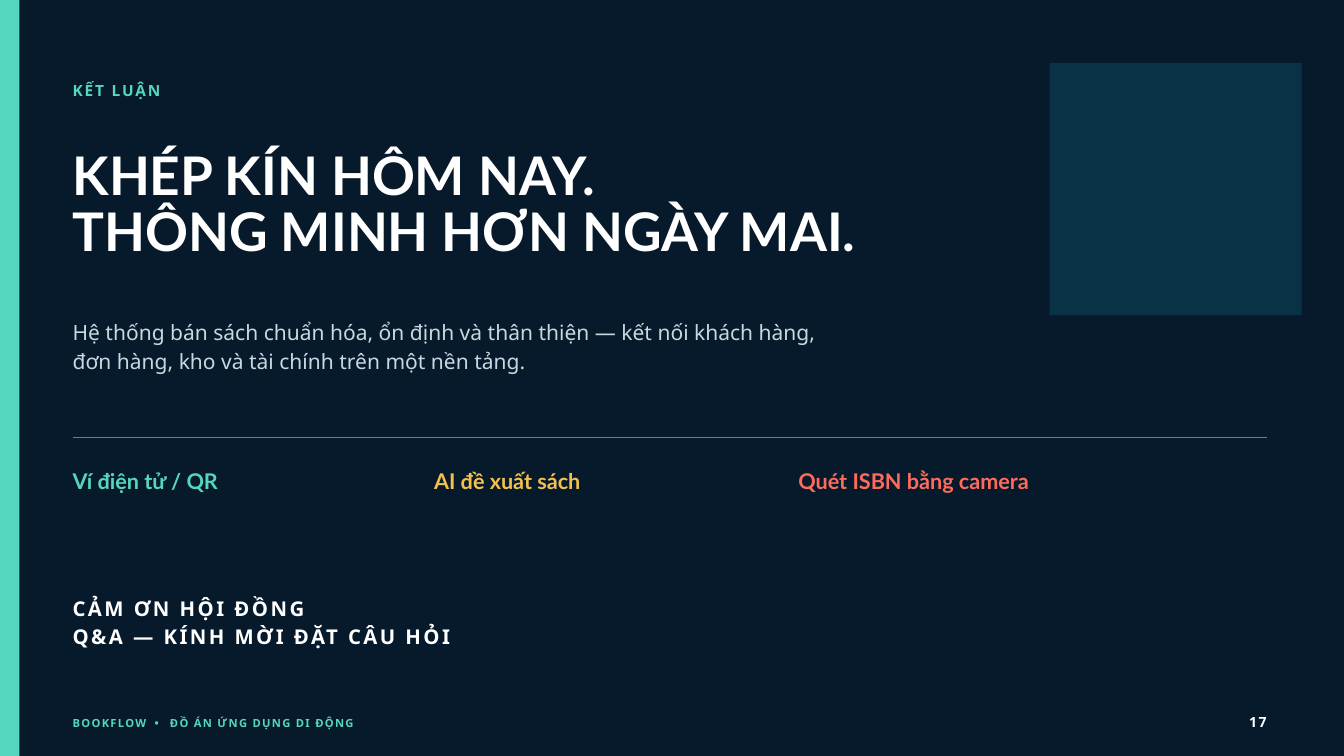
from lxml.etree import SubElement
from pptx import Presentation
from pptx.dml.color import RGBColor
from pptx.enum.shapes import MSO_CONNECTOR, MSO_SHAPE
from pptx.enum.text import PP_ALIGN
from pptx.oxml.ns import qn
from pptx.util import Inches, Pt

HEADING, BODY = "Lato", "Noto Sans"
NAVY, MINT, WHITE, BLUE = "071A2B", "55D6BE", "FFFFFF", "168AAD"
MIST, RULE, GOLD, CORAL = "C9D8DF", "6D7B82", "F2C14E", "FF6B5B"
LEFT, RIGHT = 1.08, 18.85


def rgb(value):
    return RGBColor.from_string(value)


class SlideBuilder:
    """Holds the current slide and draws its elements in one style."""

    def __init__(self, slide, background):
        self.slide = slide
        slide.background.fill.solid()
        slide.background.fill.fore_color.rgb = rgb(background)

    def block(self, x, y, w, h, color, opacity=100):
        shape = self.slide.shapes.add_shape(
            MSO_SHAPE.RECTANGLE, Inches(x), Inches(y), Inches(w), Inches(h))
        shape.shadow.inherit = False
        shape.line.fill.background()
        shape.fill.solid()
        shape.fill.fore_color.rgb = rgb(color)
        if opacity < 100:
            tint = shape.fill._xPr.find(".//" + qn("a:srgbClr"))
            SubElement(tint, qn("a:alpha"), val=str(opacity * 1000))

    def rule(self, x1, x2, y, color, width):
        line = self.slide.shapes.add_connector(
            MSO_CONNECTOR.STRAIGHT, Inches(x1), Inches(y), Inches(x2), Inches(y))
        line.line.color.rgb = rgb(color)
        line.line.width = Pt(width)
        SubElement(line._element.spPr, qn("a:effectLst"))

    def text(self, x, y, w, h, lines, size, leading, color, font=BODY,
             bold=True, spacing=0, align=PP_ALIGN.LEFT):
        """Each line is a list of runs: (words, extra letter spacing)."""
        frame = self.slide.shapes.add_textbox(
            Inches(x), Inches(y), Inches(w), Inches(h)).text_frame
        frame.word_wrap = True
        frame.margin_left = frame.margin_right = 0
        frame.margin_top = frame.margin_bottom = 0
        for number, runs in enumerate(lines):
            paragraph = frame.add_paragraph() if number else frame.paragraphs[0]
            paragraph.alignment = align
            paragraph.line_spacing = Pt(leading)
            for words, extra in runs:
                run = paragraph.add_run()
                run.text = words
                run.font.name = font
                run.font.size = Pt(size)
                run.font.bold = bold
                run.font.color.rgb = rgb(color)
                if spacing + extra:
                    run.font._element.set("spc", str(round((spacing + extra) * 100)))


def main():
    deck = Presentation()
    deck.slide_width, deck.slide_height = Inches(20), Inches(11.25)
    page = SlideBuilder(deck.slides.add_slide(deck.slide_layouts[6]), NAVY)

    # Side band and accent square
    page.block(0, 0, 0.29, 11.25, MINT)
    page.block(15.62, 0.94, 3.75, 3.75, BLUE, opacity=22)

    # Section label, headline and summary
    page.text(LEFT, 1.16, 7.29, 0.31, [[("KẾT LUẬN", 0)]], 16.5, 23.1, MINT, spacing=2)
    page.text(LEFT, 2.24, 14.79, 1.66,
              [[("KHÉP KÍN HÔM NAY.", 0)], [("THÔNG MINH HƠN NGÀY MAI.", 0)]],
              57, 59.9, WHITE, font=HEADING)
    summary = ("Hệ thống bán sách chuẩn hóa, ổn định và thân thiện — kết nối khách hàng, "
               "đơn hàng, kho và tài chính trên một nền tảng.")
    page.text(LEFT, 4.71, 11.25, 0.82, [[(summary, 0)]], 22.5, 30.4, MIST, bold=False)

    # Next steps under the rule
    page.rule(LEFT, RIGHT, 6.51, RULE, 1.5)
    next_steps = [(LEFT, 5, "Ví điện tử / QR", MINT),
                  (6.46, 5, "AI đề xuất sách", GOLD),
                  (11.88, 6.25, "Quét ISBN bằng camera", CORAL)]
    for x, width, step, color in next_steps:
        page.text(x, 7.01, width, 0.35, [[(step, 0)]], 23.2, 24.4, color, font=HEADING)

    # Thanks and questions
    page.text(LEFT, 8.81, 15.62, 0.81,
              [[("CẢM ƠN HỘI ĐỒNG", 0)], [("Q&A — KÍNH MỜI ĐẶT CÂU HỎI", 0)]],
              21.8, 30.4, WHITE, spacing=2.6)

    # Footer, with a wider gap around the dot
    page.text(LEFT, 10.63, 9.38, 0.21,
              [[("BOOKFLOW", 0), (" • ", 3), ("ĐỒ ÁN ỨNG DỤNG DI ĐỘNG", 0)]],
              12, 16.8, MINT, spacing=1.4)
    page.text(RIGHT - 1.04, 10.58, 1.04, 0.27, [[("17", 0)]], 15, 21, WHITE,
              spacing=1.8, align=PP_ALIGN.RIGHT)

    deck.save("out.pptx")


if __name__ == "__main__":
    main()
